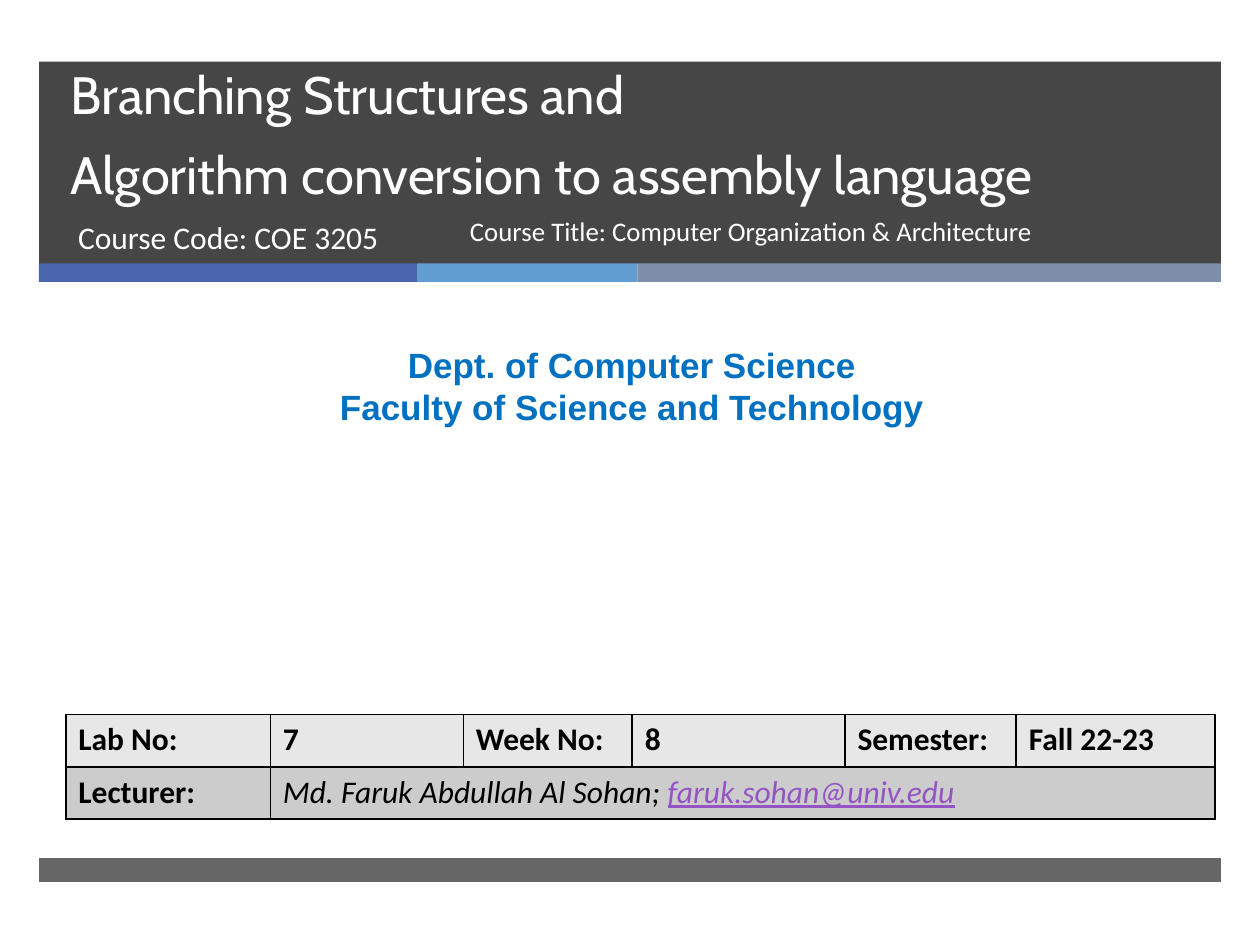
from pptx import Presentation
from pptx.dml.color import RGBColor
from pptx.enum.shapes import MSO_SHAPE as Shape
from pptx.enum.text import MSO_ANCHOR as Anchor, MSO_AUTO_SIZE as AutoSize, PP_ALIGN as Align
from pptx.oxml import parse_xml
from pptx.oxml.ns import nsdecls
from pptx.util import Pt

LEFT, WIDTH = 22.3, 675.4
DARK, WHITE, BLACK = "262626", "FFFFFF", "000000"
COURSE_TOP, COURSE_HEIGHT = 121, 38


def color(value):
    return RGBColor.from_string(value)


def add_bar(page, left, top, width, height, fill, opacity=100):
    bar = page.shapes.add_shape(Shape.RECTANGLE, Pt(left), Pt(top), Pt(width), Pt(height))
    bar.shadow.inherit = False
    bar.line.fill.background()
    bar.fill.solid()
    bar.fill.fore_color.rgb = color(fill)
    if opacity < 100:
        tint = bar.fill._xPr.find(".//{*}srgbClr")
        tint.append(parse_xml(f'<a:alpha {nsdecls("a")} val="{opacity * 1000}"/>'))


def add_span(para, text, fill, **formats):
    span = para.add_run()
    span.text = text
    span.font.color.rgb = color(fill)
    for key, value in formats.items():
        setattr(span.font, key, value)


def fill_box(box, place, lines, fill, layout, anchor=Anchor.TOP, **formats):
    """Place a text shape; each line becomes a paragraph, \\v a line break."""
    for key, value in zip(("left", "top", "width", "height"), place):
        setattr(box, key, Pt(value))
    frame = box.text_frame
    frame.word_wrap = True
    frame.auto_size = AutoSize.NONE
    frame.vertical_anchor = anchor
    for number, line in enumerate(lines):
        para = frame.add_paragraph() if number else frame.paragraphs[0]
        for key, value in {"space_before": Pt(0), **layout}.items():
            setattr(para, key, value)
        for index, part in enumerate(line.split("\v")):
            if index:
                para.add_line_break()
            add_span(para, part, fill, **formats)


def add_text(page, place, *args, **formats):
    box = page.shapes.add_textbox(*(Pt(value) for value in place))
    fill_box(box, place, *args, **formats)


def style_cell(cell, fill):
    properties = cell._tc.get_or_add_tcPr()
    for side in "LRTB":
        properties.append(parse_xml(
            f'<a:ln{side} {nsdecls("a")} w="12700"><a:solidFill>'
            f'<a:srgbClr val="{BLACK}"/></a:solidFill></a:ln{side}>'))
    cell.fill.solid()
    cell.fill.fore_color.rgb = color(fill)


def add_lab_table(page):
    widths = [116.9, 110.3, 96.5, 121.6, 97.9, 113.6]
    labels = [["Lab No:", "7", "Week No:", "8", "Semester:", "Fall 22-23"], ["Lecturer:"]]
    table = page.shapes.add_table(2, 6, Pt(37.6), Pt(408.3), Pt(sum(widths)), Pt(59.8)).table
    for column, width in zip(table.columns, widths):
        column.width = Pt(width)
    for row, fill in zip(table.rows, ("E7E7E7", "CCCCCC")):
        row.height = Pt(29.9)
        for cell in row.cells:
            style_cell(cell, fill)
    font = {"name": "Calibri", "size": Pt(18)}
    for row, texts in enumerate(labels):
        for column, text in enumerate(texts):
            para = table.cell(row, column).text_frame.paragraphs[0]
            add_span(para, text, BLACK, bold=True, **font)

    # Lecturer details across the remaining columns
    lecturer = table.cell(1, 1)
    lecturer.merge(table.cell(1, 5))
    para = lecturer.text_frame.paragraphs[0]
    font.update(bold=False, italic=True)
    add_span(para, "Md. Faruk Abdullah Al Sohan; ", BLACK, **font)
    add_span(para, "faruk.sohan@univ.edu", "9454C3", underline=True, **font)


def main():
    deck = Presentation()
    deck.slide_width, deck.slide_height = Pt(720), Pt(540)
    page = deck.slides.add_slide(deck.slide_layouts[0])
    title, subtitle = page.placeholders

    # Header, colour strip and footer, kept behind the placeholders
    add_bar(page, LEFT, 35.2, WIDTH, 115.6, DARK, 85)
    left = LEFT
    for width, fill in ((216, "4A66AC"), (126, "629DD1"), (333.4, "7F8FA9")):
        add_bar(page, left, 150.5, width, 10.6, fill)
        left += width
    add_bar(page, LEFT, 490.4, WIDTH, 13.6, DARK, 70)
    for holder in (title, subtitle):
        page.shapes._spTree.append(holder._element)

    # Title and course lines
    fill_box(title, (33.1, 35.2, 615, 85.8),
             ["Branching Structures and\vAlgorithm conversion to assembly language"], WHITE,
             {"alignment": Align.LEFT, "line_spacing": Pt(46)}, Anchor.BOTTOM,
             name="Cabin", size=Pt(30))
    fill_box(subtitle, (37.4, COURSE_TOP, 219.6, COURSE_HEIGHT), ["Course Code: COE 3205"],
             WHITE, {"alignment": Align.LEFT}, name="Calibri", size=Pt(18))
    add_text(page, (261.4, COURSE_TOP, 337.7, COURSE_HEIGHT),
             ["Course Title: Computer Organization & Architecture"], WHITE,
             {"line_spacing": 0.9}, name="Calibri", size=Pt(15.3))

    # Department and lab details
    add_text(page, (5.8, 193, 710.6, 55.4),
             ["Dept. of Computer Science", "Faculty of Science and Technology"], "0070C0",
             {"alignment": Align.CENTER}, name="Arial", size=Pt(20), bold=True)
    add_lab_table(page)
    deck.save("out.pptx")


if __name__ == "__main__":
    main()
